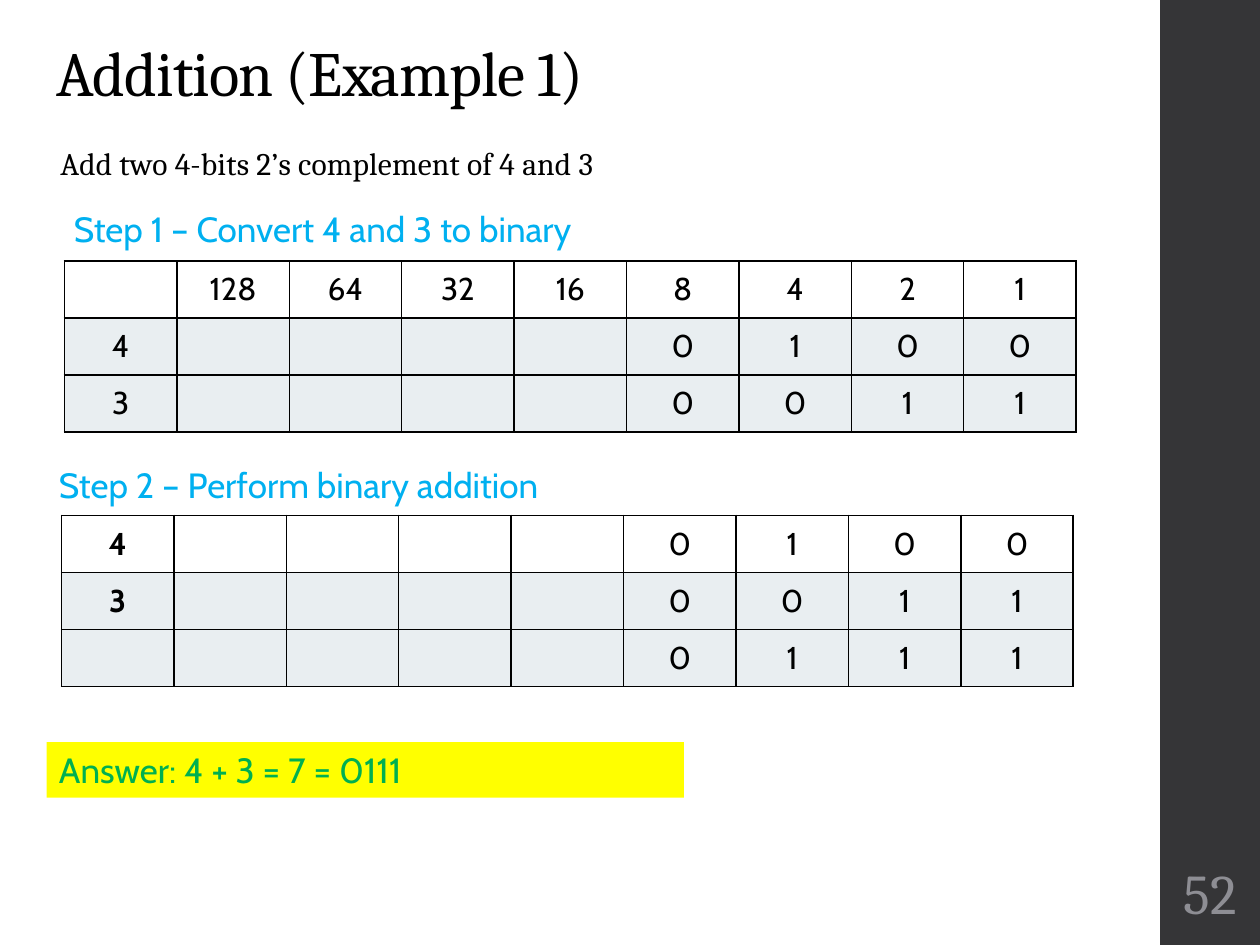
import dataclasses

import pptx
import pptx.dml.color
import pptx.enum.shapes
import pptx.enum.text
import pptx.oxml
import pptx.oxml.ns
import pptx.util

Cm = pptx.util.Cm
Pt = pptx.util.Pt
Anchor = pptx.enum.text.MSO_ANCHOR
Align = pptx.enum.text.PP_ALIGN


@dataclasses.dataclass(frozen=True)
class Theme:
    """Hold the colours, fonts and type sizes of the slide."""
    ink: str = "000000"
    bar: str = "353537"
    band: str = "E9EEF1"
    step: str = "00B0F0"
    mark: str = "FFFF00"
    answer: str = "00B050"
    page: str = "8E8E94"
    serif: str = "Cambria"
    sans: str = "Cabin"
    title: int = 36
    number: int = 32
    label: int = 20
    body: int = 18


THEME = Theme()


def paint(fill, color):
    """Fill with one solid colour."""
    fill.solid()
    fill.fore_color.rgb = pptx.dml.color.RGBColor.from_string(color)


def add_run(para, text, font, size, color, bold=False, track=0):
    """Add one styled run, with tracking in hundredths of a point."""
    run = para.add_run()
    run.text = text
    run.font.name = font
    run.font.size = Pt(size)
    run.font.bold = bold
    run.font.color.rgb = pptx.dml.color.RGBColor.from_string(color)
    if track:
        run._r.get_or_add_rPr().set("spc", str(track))


def add_text(slide, box, text, font, size, color, anchor=Anchor.TOP,
             align=Align.LEFT, space=1.0, track=0):
    """Add a wrapped text box with one line of text."""
    shape = slide.shapes.add_textbox(*map(Cm, box))
    frame = shape.text_frame
    frame.word_wrap = True
    frame.vertical_anchor = anchor
    para = frame.paragraphs[0]
    para.alignment = align
    para.line_spacing = space
    add_run(para, text, font, size, color, track=track)
    return shape


def add_label(slide, left, top, text, color):
    """Add a step or answer line."""
    return add_text(slide, (left, top, 12.85, 1.12), text, THEME.sans,
                    THEME.label, color)


def add_bar(slide):
    """Add the dark bar on the right side."""
    kind = pptx.enum.shapes.MSO_SHAPE.RECTANGLE
    bar = slide.shapes.add_shape(kind, Cm(23.39), 0, Cm(2.03), Cm(19.05))
    bar.shadow.inherit = False
    paint(bar.fill, THEME.bar)
    bar.line.fill.background()


def add_edges(cell):
    """Draw a thin line on all four sides of a cell."""
    props = cell._tc.get_or_add_tcPr()
    for side in ("lnL", "lnR", "lnT", "lnB"):
        props.append(pptx.oxml.parse_xml(
            f'<a:{side} {pptx.oxml.ns.nsdecls("a")} w="{Pt(1)}">'
            f'<a:solidFill><a:srgbClr val="{THEME.ink}"/></a:solidFill>'
            f'</a:{side}>'))


def add_grid(slide, left, top, rows, bold=False):
    """Add a table of bits, with the first column bold on request."""
    wide, high = Cm(20.4), Cm(3.45)
    count = len(rows[0])
    table = slide.shapes.add_table(
        len(rows), count, Cm(left), Cm(top), wide, high).table
    table.first_row = table.horz_banding = False
    for col in table.columns:
        col.width = wide // count
    for r, row in enumerate(rows):
        table.rows[r].height = high // len(rows)
        for c, text in enumerate(row):
            cell = table.cell(r, c)
            cell.vertical_anchor = Anchor.MIDDLE
            add_edges(cell)
            if r:
                paint(cell.fill, THEME.band)
            else:
                cell.fill.background()
            if text:
                para = cell.text_frame.paragraphs[0]
                para.alignment = Align.CENTER
                add_run(para, text, THEME.sans, THEME.body, THEME.ink,
                        bold and c == 0)


def bit_row(head, bits):
    """Return a row of eight places with the bits at the right."""
    return [head] + [""] * (8 - len(bits)) + list(bits)


def main():
    """Build and save the slide."""
    deck = pptx.Presentation()
    deck.slide_width, deck.slide_height = Cm(25.4), Cm(19.05)
    slide = deck.slides.add_slide(deck.slide_layouts[6])
    add_bar(slide)
    add_text(slide, (0.89, 0.64, 21.92, 1.7), "Addition (Example 1)",
             THEME.serif, THEME.title, THEME.ink, Anchor.BOTTOM,
             space=0.9, track=-50)
    add_text(slide, (0.97, 2.84, 21.92, 1.17),
             "Add two 4-bits 2’s complement of 4 and 3",
             THEME.serif, THEME.body, THEME.ink, space=0.95, track=10)

    terms = [bit_row("4", "0100"), bit_row("3", "0011")]
    powers = [str(2 ** n) for n in range(7, -1, -1)]
    add_grid(slide, 1.3, 5.26, [bit_row("", powers)] + terms)
    page = add_text(slide, (23.44, 17.15, 1.91, 1.65), "52", THEME.serif,
                    THEME.number, THEME.page, Anchor.MIDDLE, Align.CENTER)
    page.text_frame.margin_left = page.text_frame.margin_right = Cm(0.08)
    add_label(slide, 1.24, 4.06, "Step 1 – Convert 4 and 3 to binary",
              THEME.step)
    add_label(slide, 0.94, 9.22, "Step 2 – Perform binary addition",
              THEME.step)
    add_grid(slide, 1.24, 10.39, terms + [bit_row("", "0111")], bold=True)
    answer = add_label(slide, 0.94, 14.96, "Answer: 4 + 3 = 7 = 0111",
                       THEME.answer)
    paint(answer.fill, THEME.mark)
    deck.save("out.pptx")


if __name__ == "__main__":
    main()
